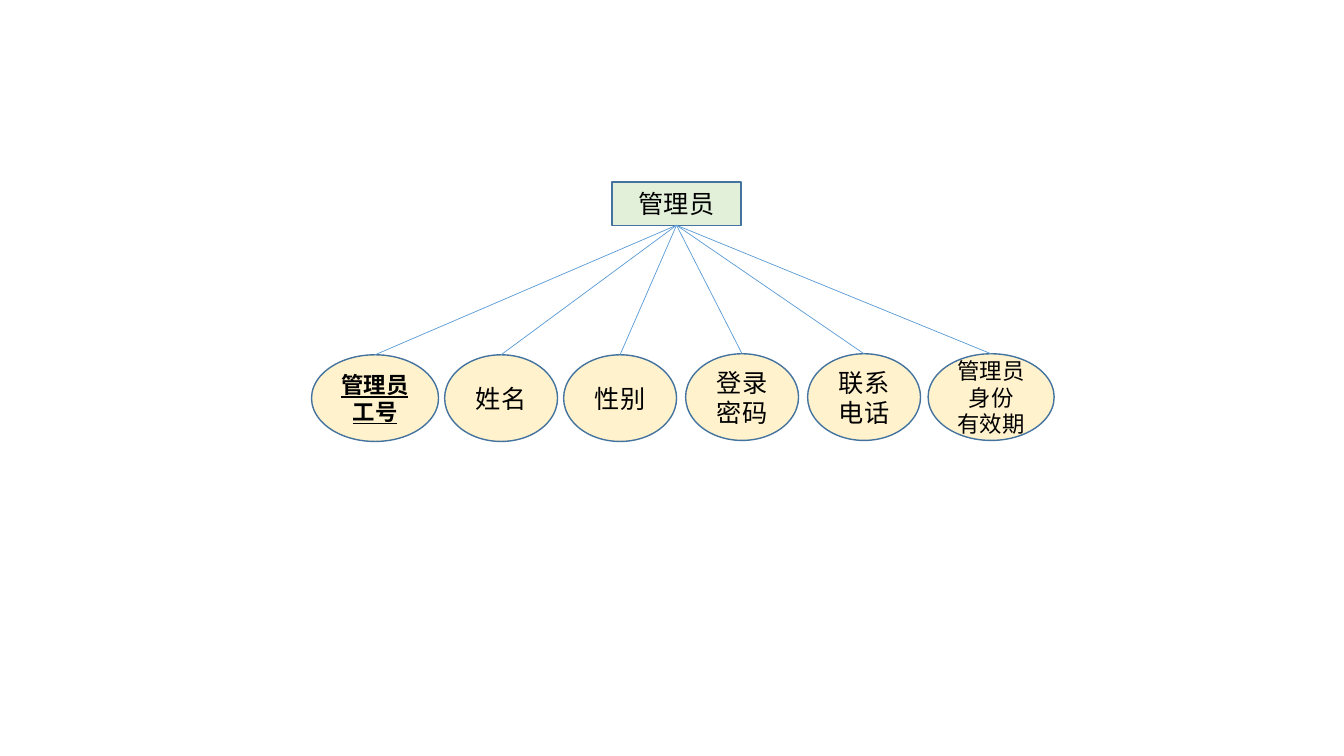
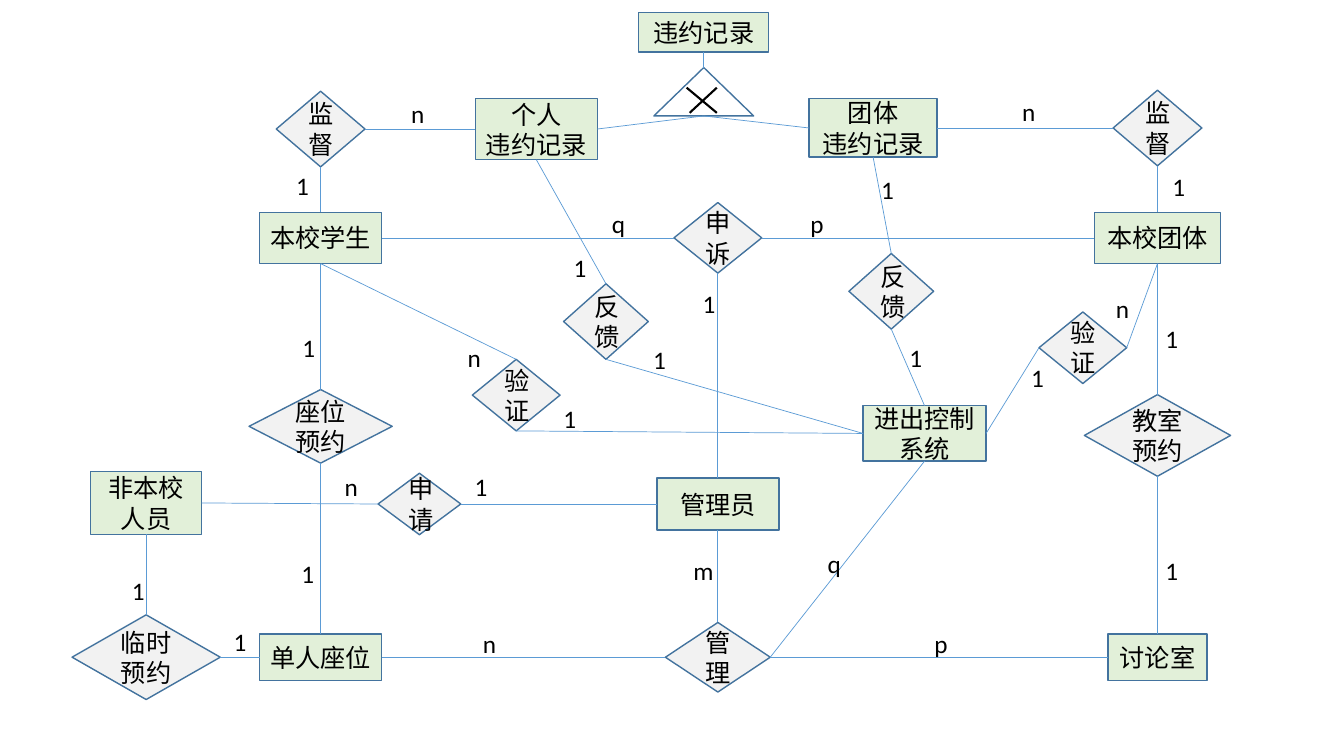
from lxml import etree
from pptx import Presentation, util as u
from pptx.dml.color import RGBColor
from pptx.enum import shapes, text
from pptx.oxml.ns import qn

# Shared style
PX = 9144  # EMU per px, 100 px to the inch
SLIDE_SIZE = (1333, 750)
FONT = "Calibri"
BLACK = RGBColor(0x00, 0x00, 0x00)
OUTLINE = RGBColor(0x43, 0x73, 0x9E)
LINK = RGBColor(0x5B, 0x9B, 0xD5)
GREEN = RGBColor(0xE2, 0xF0, 0xD9)
YELLOW = RGBColor(0xFF, 0xF2, 0xCC)
GREY = RGBColor(0xF2, 0xF2, 0xF2)
KIND = shapes.MSO_SHAPE
ENTITY = (KIND.RECTANGLE, GREEN)
ATTRIBUTE = (KIND.OVAL, YELLOW)
RELATION = (KIND.DIAMOND, GREY)
SUBTYPE = (KIND.FLOWCHART_EXTRACT, None)
TOP, LEFT, BOTTOM, RIGHT = range(4)

# Slide 1: text, centre x, centre y, width, height
ADMIN = ("管理员", 671, 202, 128, 43)
ATTRIBUTE_HEIGHT = 86
# text, centre x, centre y, width, text size, key attribute
ATTRIBUTES = [
    ("管理员工号", 372, 395, 126, 16, True),
    ("姓名", 497, 395, 112, 18, False),
    ("性别", 615, 395, 112, 18, False),
    ("登录密码", 736, 394, 112, 18, False),
    ("联系电话", 857, 394, 112, 18, False),
    ("管理员身份\n有效期", 983, 394, 125, 16, False),
]

# Slide 2: shared axes, then name: text, centre x, centre y, width, height
STUDENT_X, ADMIN_X, GROUP_X = 318, 712, 1148
RECORD_X, OUTSIDER_X = 698, 145
PEOPLE_Y, APPLY_Y, ROOM_Y = 236, 500, 652
ENTITIES = {
    "student": ("本校学生", STUDENT_X, PEOPLE_Y, 121, 51),
    "group": ("本校团体", GROUP_X, PEOPLE_Y, 125, 51),
    "outsider": ("非本校人员", OUTSIDER_X, 499, 110, 62),
    "admin": ("管理员", ADMIN_X, APPLY_Y, 121, 52),
    "seat": ("单人座位", STUDENT_X, ROOM_Y, 121, 46),
    "room": ("讨论室", GROUP_X, ROOM_Y, 98, 46),
    "record": ("违约记录", RECORD_X, 32, 129, 39),
    "personal record": ("个人\n违约记录", 532, 128, 121, 61),
    "group record": ("团体\n违约记录", 866, 127, 127, 58),
    "gate": ("进出控制系统", 917, 430, 122, 55),
}
RELATIONS = {
    "apply": ("申请", 416, APPLY_Y, 82, 61),
    "walk-in booking": ("临时预约", OUTSIDER_X, ROOM_Y, 147, 84),
    "manage": ("管理", ADMIN_X, ROOM_Y, 104, 69),
    "supervise student": ("监督", STUDENT_X, 128, 88, 75),
    "supervise group": ("监督", GROUP_X, 127, 88, 75),
    "appeal": ("申诉", ADMIN_X, PEOPLE_Y, 87, 70),
    "seat booking": ("座位预约", STUDENT_X, 423, 142, 73),
    "room booking": ("教室预约", GROUP_X, 432, 145, 81),
    "personal feedback": ("反馈", 601, 319, 84, 75),
    "group feedback": ("反馈", 884, 289, 84, 75),
    "verify student": ("验证", 512, 392, 87, 71),
    "verify group": ("验证", 1074, 345, 87, 71),
}
SUBTYPES = {"split": ("", RECORD_X, 91, 99, 48)}
LINKS = [
    ("outsider", RIGHT, "apply", LEFT),
    ("apply", RIGHT, "admin", LEFT),
    ("outsider", BOTTOM, "walk-in booking", TOP),
    ("walk-in booking", RIGHT, "seat", LEFT),
    ("admin", BOTTOM, "manage", TOP),
    ("manage", LEFT, "seat", RIGHT),
    ("manage", RIGHT, "room", LEFT),
    ("gate", BOTTOM, "manage", RIGHT),
    ("record", BOTTOM, "split", TOP),
    ("personal record", RIGHT, "split", BOTTOM),
    ("split", BOTTOM, "group record", LEFT),
    ("supervise student", RIGHT, "personal record", LEFT),
    ("supervise student", BOTTOM, "student", TOP),
    ("group record", RIGHT, "supervise group", LEFT),
    ("supervise group", BOTTOM, "group", TOP),
    ("appeal", LEFT, "student", RIGHT),
    ("appeal", RIGHT, "group", LEFT),
    ("appeal", BOTTOM, "admin", TOP),
    ("student", BOTTOM, "seat booking", TOP),
    ("seat booking", BOTTOM, "seat", TOP),
    ("group", BOTTOM, "room booking", TOP),
    ("room booking", BOTTOM, "room", TOP),
    ("personal record", BOTTOM, "personal feedback", TOP),
    ("gate", LEFT, "personal feedback", BOTTOM),
    ("group record", BOTTOM, "group feedback", TOP),
    ("gate", TOP, "group feedback", BOTTOM),
    ("verify student", TOP, "student", BOTTOM),
    ("verify student", BOTTOM, "gate", LEFT),
    ("verify group", RIGHT, "group", BOTTOM),
    ("verify group", LEFT, "gate", RIGHT),
]
# Strokes of the cross in the triangle: x1, y1, x2, y2
CROSS = [(681, 87, 711, 112), (684, 112, 711, 87)]
# Cardinality: box width, then left and top of each label
LABEL_HEIGHT = 40
CARDINALITIES = {
    "1": (33, [(461, 463), (289, 549), (222, 616), (687, 281), (559, 245),
               (1153, 165), (284, 164), (864, 168), (638, 337), (290, 325),
               (121, 566), (1146, 316), (1146, 546), (1013, 355),
               (549, 395), (892, 335)]),
    "n": (34, [(332, 463), (469, 618), (1097, 286), (1004, 91), (454, 335),
               (398, 93)]),
    "m": (40, [(678, 546)]),
    "p": (34, [(917, 618), (794, 202)]),
    "q": (34, [(811, 539), (597, 202)]),
}


def px(*lengths):
    return [u.Emu(round(length * PX)) for length in lengths]


def write(frame, content, size=18, key=False, align=None):
    for index, line in enumerate(content.split("\n")):
        paragraph = frame.add_paragraph() if index else frame.paragraphs[0]
        paragraph.alignment = align
        run = paragraph.add_run()
        run.text = line
        font = run.font
        font.name, font.size, font.color.rgb = FONT, u.Pt(size), BLACK
        if key:
            font.bold = font.underline = True


def add_node(slide, style, node, size=18, key=False):
    kind, fill = style
    content, x, y, width, height = node
    box = px(x - width / 2, y - height / 2, width, height)
    shape = slide.shapes.add_shape(kind, *box)
    shape.shadow.inherit = False
    shape.line.color.rgb, shape.line.width = OUTLINE, u.Pt(1)
    if fill is None:
        shape.fill.background()
    else:
        shape.fill.solid()
        shape.fill.fore_color.rgb = fill
    if content:
        shape.text_frame.word_wrap = True
        shape.text_frame.vertical_anchor = text.MSO_ANCHOR.MIDDLE
        write(shape.text_frame, content, size, key, text.PP_ALIGN.CENTER)
    return shape


def add_line(slide, ends=(0, 0, 0, 0), color=LINK, width=0.5):
    line = slide.shapes.add_connector(shapes.MSO_CONNECTOR.STRAIGHT, *px(*ends))
    line.line.color.rgb, line.line.width = color, u.Pt(width)
    etree.SubElement(line._element.spPr, qn("a:effectLst"))
    return line


def join(slide, start, start_side, end, end_side):
    line = add_line(slide)
    line.begin_connect(start, start_side)
    line.end_connect(end, end_side)


def add_label(slide, content, left, top, width):
    label = slide.shapes.add_textbox(*px(left, top, width, LABEL_HEIGHT))
    label.text_frame.word_wrap = False
    label.text_frame.auto_size = text.MSO_AUTO_SIZE.SHAPE_TO_FIT_TEXT
    write(label.text_frame, content)


def build_attributes(slide):
    admin = add_node(slide, ENTITY, ADMIN)
    for content, x, y, width, size, key in ATTRIBUTES:
        node = (content, x, y, width, ATTRIBUTE_HEIGHT)
        attribute = add_node(slide, ATTRIBUTE, node, size, key)
        join(slide, attribute, TOP, admin, BOTTOM)


def build_relations(slide):
    nodes = {}
    for style, group in ((ENTITY, ENTITIES), (RELATION, RELATIONS),
                         (SUBTYPE, SUBTYPES)):
        for name, node in group.items():
            nodes[name] = add_node(slide, style, node)
    for start, start_side, end, end_side in LINKS:
        join(slide, nodes[start], start_side, nodes[end], end_side)
    for stroke in CROSS:
        add_line(slide, stroke, BLACK, 1.5)
    for content, (width, places) in CARDINALITIES.items():
        for left, top in places:
            add_label(slide, content, left, top, width)


def main():
    presentation = Presentation()
    presentation.slide_width, presentation.slide_height = px(*SLIDE_SIZE)
    blank = presentation.slide_layouts[6]
    for build in (build_attributes, build_relations):
        build(presentation.slides.add_slide(blank))
    presentation.save("out.pptx")


if __name__ == "__main__":
    main()
